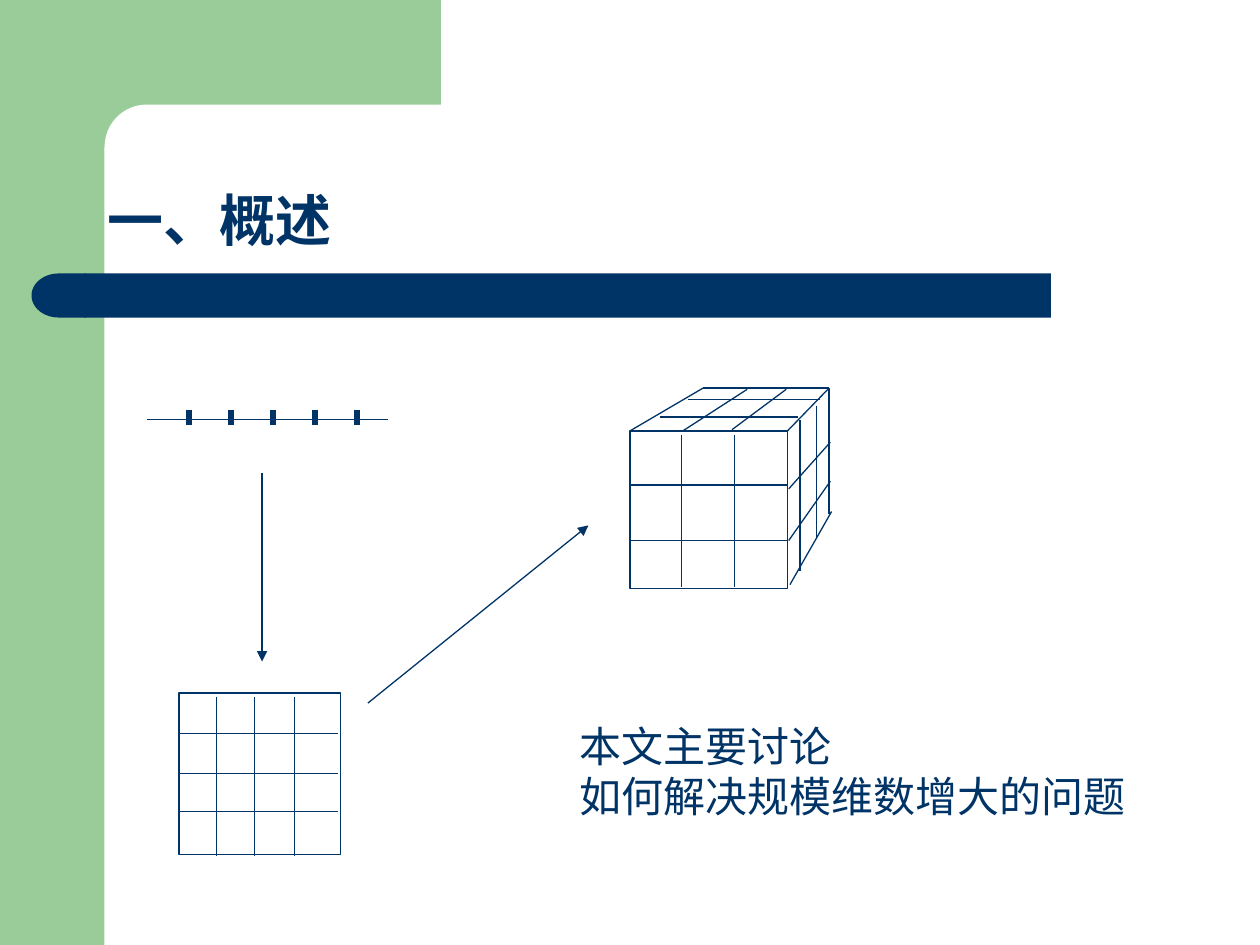
from pptx import Presentation
from pptx.dml.color import RGBColor
from pptx.enum.shapes import MSO_CONNECTOR, MSO_SHAPE
from pptx.enum.text import MSO_ANCHOR, MSO_AUTO_SIZE, PP_ALIGN
from pptx.oxml.ns import qn
from pptx.util import Inches, Pt
from lxml import etree

STRAIGHT = MSO_CONNECTOR.STRAIGHT
RECTANGLE = MSO_SHAPE.RECTANGLE
ROUNDED = MSO_SHAPE.ROUNDED_RECTANGLE
DELAY = MSO_SHAPE.FLOWCHART_DELAY
MIDDLE = MSO_ANCHOR.MIDDLE
TOP = MSO_ANCHOR.TOP
LEFT = PP_ALIGN.LEFT
NO_AUTOFIT = MSO_AUTO_SIZE.NONE
NAVY = "003366"
GREEN = "99CC99"
WHITE = "FFFFFF"
FONT = "Times New Roman"


def color(value):
    """Return the colour for a hex string."""
    return RGBColor.from_string(value)


def add_block(shapes, kind, bounds, fill, corner=None):
    """Add a filled shape without an outline."""
    block = shapes.add_shape(kind, *map(Inches, bounds))
    block.shadow.inherit = False
    block.fill.solid()
    block.fill.fore_color.rgb = color(fill)
    block.line.fill.background()
    if corner is not None:
        block.adjustments[0] = corner
    return block


def add_frame(shapes, bounds):
    """Add an unfilled rectangle with a thin outline."""
    frame = shapes.add_shape(RECTANGLE, *map(Inches, bounds))
    frame.shadow.inherit = False
    frame.fill.background()
    frame.line.color.rgb = color(NAVY)
    frame.line.width = Pt(0.75)


def add_line(shapes, x1, y1, x2, y2, width=0.75, arrow=False):
    """Add a straight line, with an arrowhead at its end if wanted."""
    line = shapes.add_connector(STRAIGHT, *map(Inches, (x1, y1, x2, y2)))
    line.line.color.rgb = color(NAVY)
    line.line.width = Pt(width)
    properties = line._element.spPr
    if arrow:
        outline = properties.find(qn("a:ln"))
        etree.SubElement(outline, qn("a:tailEnd"), type="triangle")
    etree.SubElement(properties, qn("a:effectLst"))


def write_text(box, bounds, text, size, anchor, bold=False):
    """Place a text shape and format its wording."""
    box.left, box.top, box.width, box.height = map(Inches, bounds)
    frame = box.text_frame
    frame.text = text
    frame.word_wrap = True
    frame.auto_size = NO_AUTOFIT
    frame.vertical_anchor = anchor
    para = frame.paragraphs[0]
    para.alignment = LEFT
    para.space_before = Pt(0)
    for span in para.runs:
        span.font.name = FONT
        span.font.size = Pt(size)
        span.font.bold = bold
        span.font.color.rgb = color(NAVY)


def add_background(shapes):
    """Draw the green corner and the navy title bar."""
    add_block(shapes, RECTANGLE, (0, 0, 0.83, 7.5), GREEN)
    add_block(shapes, RECTANGLE, (0.75, 0, 2.75, 1.17), GREEN)
    add_block(shapes, ROUNDED, (0.83, 0.83, 5.58, 0.67), WHITE, 0.5)
    add_block(shapes, ROUNDED, (0.67, 2.17, 7.67, 0.35), NAVY, 0)
    cap = add_block(shapes, DELAY, (0.25, 2.17, 0.43, 0.35), NAVY)
    cap.rotation = 180


def add_axis(shapes):
    """Draw the one-dimensional line with five ticks."""
    add_line(shapes, 1.17, 3.33, 3.08, 3.33)
    for tick in range(5):
        x = 1.5 + tick / 3
        add_line(shapes, x, 3.25, x, 3.37, width=3.25)


def add_grid(shapes):
    """Draw the two-dimensional grid."""
    add_frame(shapes, (1.42, 5.5, 1.28, 1.28))
    for y in (5.82, 6.14, 6.44):
        add_line(shapes, 1.42, y, 2.68, y)
    for x in (1.72, 2.02, 2.34):
        add_line(shapes, x, 5.53, x, 6.79)


def add_cube(shapes):
    """Draw the three-dimensional cube."""
    add_frame(shapes, (5, 3.42, 1.25, 1.25))
    for y in (3.85, 4.29):
        add_line(shapes, 5, y, 6.25, y)
    for x in (5.41, 5.83):
        add_line(shapes, x, 3.45, x, 4.66)
    top_face = [
        (5, 3.42, 5.58, 3.08),
        (5.42, 3.42, 5.93, 3.09),
        (5.81, 3.41, 6.24, 3.09),
        (6.25, 3.42, 6.58, 3.08),
        (5.58, 3.08, 6.58, 3.08),
        (5.46, 3.17, 6.51, 3.17),
        (5.24, 3.31, 6.33, 3.31),
    ]
    side_face = [
        (6.26, 3.88, 6.59, 3.51),
        (6.26, 4.29, 6.59, 3.82),
        (6.27, 4.64, 6.6, 4.06),
        (6.35, 3.33, 6.35, 4.53),
        (6.48, 3.22, 6.48, 4.28),
        (6.58, 3.08, 6.58, 4.08),
    ]
    for ends in top_face + side_face:
        add_line(shapes, *ends)


def main():
    """Build the slide and save it."""
    deck = Presentation()
    deck.slide_width, deck.slide_height = Inches(10), Inches(7.5)
    page = deck.slides.add_slide(deck.slide_layouts[5])
    shapes = page.shapes
    title = shapes.title
    add_background(shapes)
    shapes._spTree.append(title._element)
    write_text(title, (0.75, 1.42, 2.83, 0.64), "一、概述", 32, MIDDLE, bold=True)
    for draw in (add_axis, add_grid, add_cube):
        draw(shapes.add_group_shape().shapes)
    add_line(shapes, 2.08, 3.75, 2.08, 5.25, arrow=True)
    add_line(shapes, 2.92, 5.58, 4.67, 4.17, arrow=True)
    note_bounds = (4.5, 5.67, 4.92, 0.9)
    note = shapes.add_textbox(*map(Inches, note_bounds))
    write_text(note, note_bounds, "本文主要讨论\v如何解决规模维数增大的问题", 24, TOP)
    deck.save("out.pptx")


if __name__ == "__main__":
    main()
